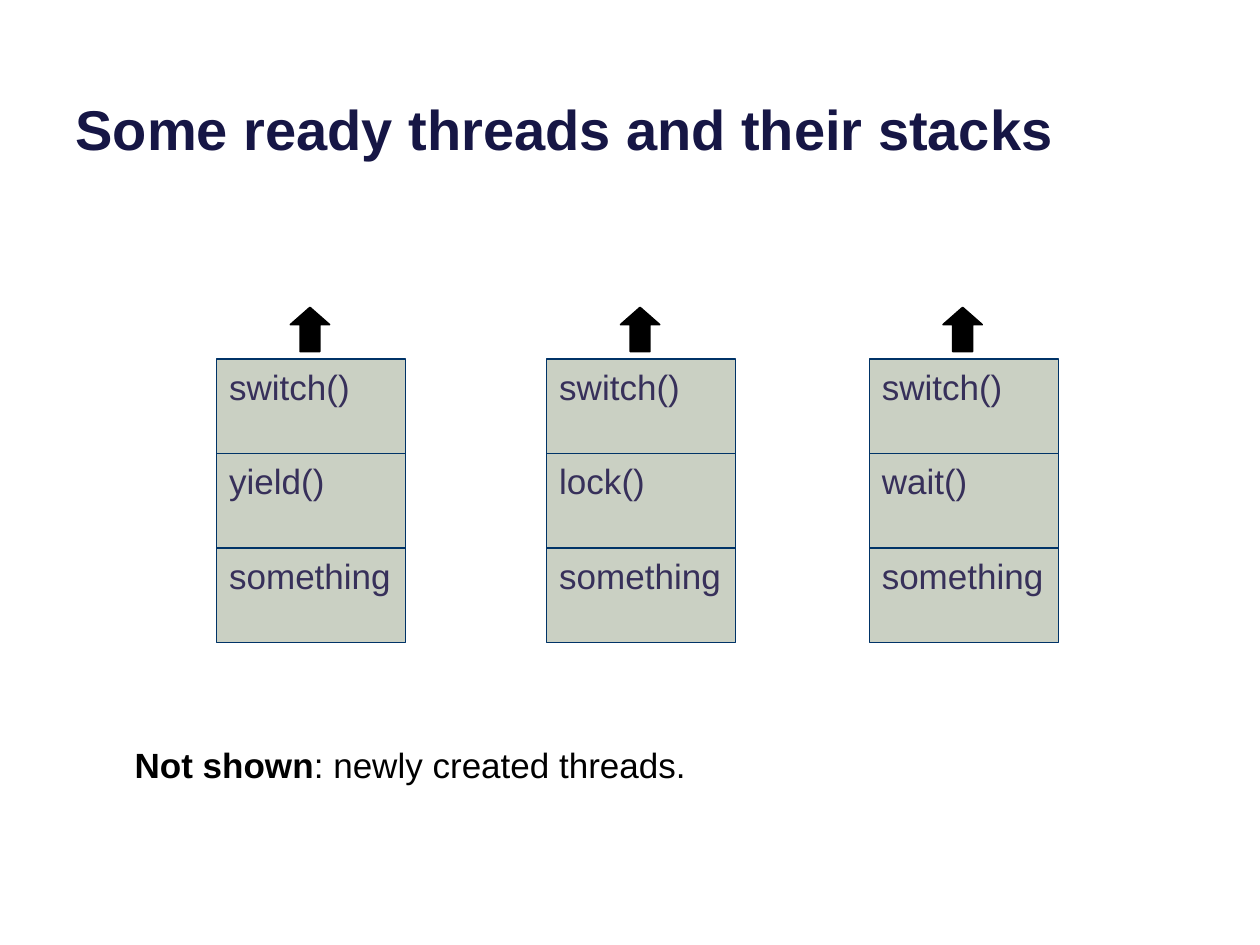
"""Build a slide showing three ready threads and their call stacks."""
from pptx import Presentation
from pptx.dml.color import RGBColor
from pptx.enum.shapes import MSO_SHAPE
from pptx.enum.text import MSO_ANCHOR, PP_ALIGN
from pptx.util import Inches, Pt

RECTANGLE, UP_ARROW = MSO_SHAPE.RECTANGLE, MSO_SHAPE.UP_ARROW
TOP, MIDDLE, BOTTOM = MSO_ANCHOR.TOP, MSO_ANCHOR.MIDDLE, MSO_ANCHOR.BOTTOM
LEFT = PP_ALIGN.LEFT

THEME = {
    "frame_fill": "CAD0C3", "frame_line": "003367", "arrow": "000000",
    "title": {"size": Pt(32), "bold": True, "color": "161645"},
    "frame": {"size": Pt(20), "bold": False, "color": "37305A"},
    "note": {"size": Pt(20), "bold": False, "color": "000000"},
    "note_lead": {"size": Pt(20), "bold": True, "color": "000000"},
}
STACKS = [
    (1.72, ["switch()", "yield()", "something"]),
    (4.34, ["switch()", "lock()", "something"]),
    (6.9, ["switch()", "wait()", "something"]),
]
STACK_TOP, FRAME_WIDTH, FRAME_HEIGHT = 2.85, 1.5, 0.75
ARROW_TOP, ARROW_WIDTH, ARROW_HEIGHT = 2.44, 0.31, 0.35


def write_text(shape, runs, anchor):
    """Write styled runs into the single paragraph of a shape."""
    frame = shape.text_frame
    frame.word_wrap = True
    frame.vertical_anchor = anchor
    paragraph = frame.paragraphs[0]
    paragraph.alignment = LEFT
    for text, style in runs:
        run = paragraph.add_run()
        run.text = text
        run.font.name = "Arial"
        for attribute, value in THEME[style].items():
            if attribute == "color":
                run.font.color.rgb = RGBColor.from_string(value)
            else:
                setattr(run.font, attribute, value)


def add_block(slide, kind, box, fill, line, line_width):
    """Add a filled and outlined preset shape without a shadow."""
    shape = slide.shapes.add_shape(kind, *map(Inches, box))
    shape.shadow.inherit = False
    shape.fill.solid()
    shape.fill.fore_color.rgb = RGBColor.from_string(THEME[fill])
    shape.line.color.rgb = RGBColor.from_string(THEME[line])
    shape.line.width = Pt(line_width)
    return shape


presentation = Presentation()
presentation.slide_width, presentation.slide_height = Inches(10), Inches(7.5)
slide = presentation.slides.add_slide(presentation.slide_layouts[5])

title = slide.shapes.title
placement = {"left": 0.5, "top": -0.37, "width": 9, "height": 1.7}
for attribute, value in placement.items():
    setattr(title, attribute, Inches(value))
write_text(title, [("Some ready threads and their stacks", "title")], BOTTOM)

for left, calls in STACKS:
    for row, call in enumerate(calls):
        box = (left, STACK_TOP + row * FRAME_HEIGHT, FRAME_WIDTH, FRAME_HEIGHT)
        block = add_block(slide, RECTANGLE, box, "frame_fill", "frame_line", 0.75)
        write_text(block, [(call, "frame")], TOP)
    arrow_left = left + (FRAME_WIDTH - ARROW_WIDTH) / 2 - 0.01
    box = (arrow_left, ARROW_TOP, ARROW_WIDTH, ARROW_HEIGHT)
    arrow = add_block(slide, UP_ARROW, box, "arrow", "arrow", 1)
    arrow.adjustments[0], arrow.adjustments[1] = 0.5, 0.44

note = slide.shapes.add_textbox(*map(Inches, (0.97, 5.85, 8.71, 0.44)))
write_text(note, [("Not shown", "note_lead"), (": newly created threads.", "note")], MIDDLE)

presentation.save("out.pptx")
